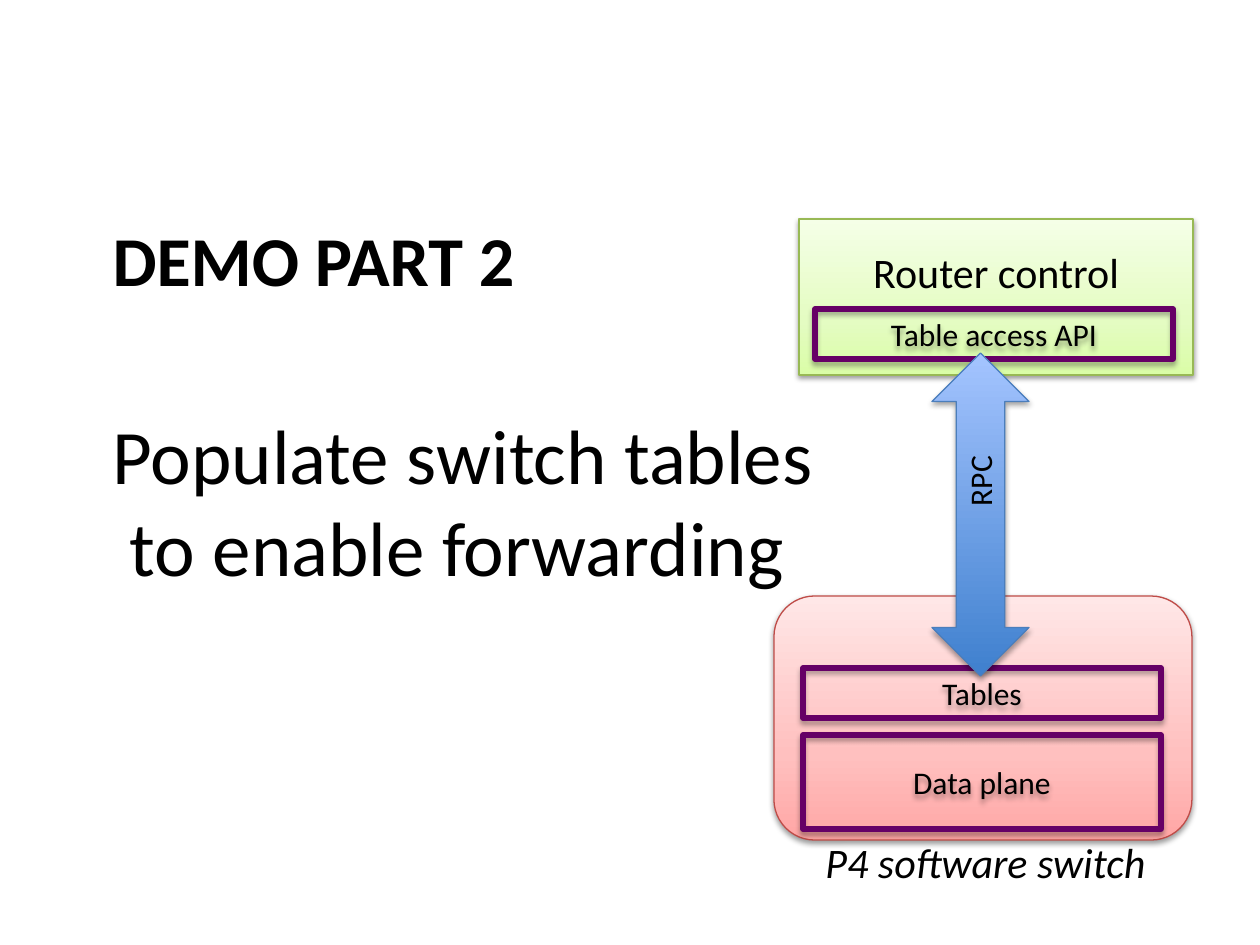
"""Build the slide on populating switch tables over RPC."""
from lxml.etree import SubElement
from pptx import Presentation
from pptx.dml.color import RGBColor
from pptx.enum.shapes import MSO_SHAPE as Shape
from pptx.enum.text import MSO_ANCHOR as Anchor, MSO_AUTO_SIZE as AutoSize, PP_ALIGN as Align
from pptx.oxml.ns import qn
from pptx.util import Emu, Pt

PX_PER_INCH = 126
BLACK = RGBColor(0x00, 0x00, 0x00)
PURPLE = RGBColor(0x66, 0x00, 0x66)
RED_LINE = RGBColor(0xBF, 0x4C, 0x48)
GREEN_LINE = RGBColor(0x98, 0xB9, 0x55)
BLUE_LINE = RGBColor(0x4B, 0x7E, 0xBC)
RED_STOPS = ((0, RGBColor(0xFF, 0xA6, 0xA5)), (35, RGBColor(0xFF, 0xC0, 0xBF)),
             (100, RGBColor(0xFF, 0xE7, 0xE7)))
GREEN_STOPS = ((0, RGBColor(0xDA, 0xFD, 0xA7)), (35, RGBColor(0xE4, 0xFC, 0xC2)),
               (100, RGBColor(0xF5, 0xFF, 0xE7)))
BLUE_STOPS = ((0, RGBColor(0x3F, 0x80, 0xCE)), (100, RGBColor(0xA4, 0xC4, 0xFF)))


def px(length):
    return Emu(round(length * 914400 / PX_PER_INCH))


def place(shape, box):
    shape.left, shape.top, shape.width, shape.height = map(px, box)


def write(shape, text, size=18, bold=False, italic=False, align=Align.CENTER,
          anchor=Anchor.MIDDLE, wrap=True, bottom=6):
    frame = shape.text_frame
    frame.text = text
    frame.word_wrap = wrap
    frame.auto_size = AutoSize.NONE if wrap else AutoSize.SHAPE_TO_FIT_TEXT
    frame.vertical_anchor = anchor
    frame.margin_bottom = px(bottom)
    paragraph = frame.paragraphs[0]
    paragraph.alignment = align
    for run in paragraph.runs:
        font = run.font
        font.name, font.size = "Calibri", Pt(size)
        font.bold, font.italic = bold, italic
        font.color.rgb = BLACK


def add_color(parent, color, alpha=None):
    element = SubElement(parent, qn("a:srgbClr"), val=str(color))
    if alpha is not None:
        SubElement(element, qn("a:alpha"), val=str(alpha * 1000))


def add_shadow(shape, alpha, distance):
    shape.shadow.inherit = False
    effects = shape._element.spPr.find(qn("a:effectLst"))
    shadow = SubElement(effects, qn("a:outerShdw"), blurRad=str(Pt(3.1)),
                        dist=str(Pt(distance)), dir="5400000", rotWithShape="0")
    add_color(shadow, BLACK, alpha)


def fill_gradient(shape, stops):
    shape.fill.gradient()
    shape.fill.gradient_angle = 90
    stop_list = shape._element.spPr.find(qn("a:gradFill")).find(qn("a:gsLst"))
    stop_list.clear()
    for position, color in stops:
        add_color(SubElement(stop_list, qn("a:gs"), pos=str(position * 1000)), color)


def add_gradient_shape(slide, kind, box, stops, line, alpha=38, distance=1.6):
    shape = slide.shapes.add_shape(kind, *map(px, box))
    fill_gradient(shape, stops)
    shape.line.color.rgb = line
    shape.line.width = Pt(0.75)
    add_shadow(shape, alpha, distance)
    return shape


def add_outlined_box(slide, text, box):
    shape = slide.shapes.add_shape(Shape.RECTANGLE, *map(px, box))
    shape.fill.background()
    shape.line.color.rgb = PURPLE
    shape.line.width = Pt(3)
    add_shadow(shape, 35, 1.8)
    write(shape, text)


def add_label(slide, text, box, rotation=0, **text_format):
    label = slide.shapes.add_textbox(*map(px, box))
    label.rotation = rotation
    write(label, text, anchor=Anchor.TOP, **text_format)


def main():
    deck = Presentation()
    deck.slide_width, deck.slide_height = px(1260), px(945)
    slide = deck.slides.add_slide(deck.slide_layouts[5])

    title = slide.shapes.title
    place(title, (100, 210, 1071, 188))
    write(title, "DEMO PART 2", size=40, bold=True, align=Align.LEFT, anchor=Anchor.TOP)
    add_label(slide, "Populate switch tables\v to enable forwarding",
              (100, 401, 1071, 207), size=44, align=Align.LEFT)

    add_gradient_shape(slide, Shape.ROUNDED_RECTANGLE, (774, 596, 418, 244),
                       RED_STOPS, RED_LINE)
    router = add_gradient_shape(slide, Shape.RECTANGLE, (799, 219, 394, 156),
                                GREEN_STOPS, GREEN_LINE)
    write(router, "Router control", size=24, bottom=57)

    add_outlined_box(slide, "Tables", (803, 668, 358, 50))
    add_label(slide, "P4 software switch", (806, 830, 359, 63), size=24,
              italic=True, wrap=False)
    add_outlined_box(slide, "Data plane", (803, 735, 358, 94))
    add_outlined_box(slide, "Table access API", (815, 309, 358, 50))

    add_gradient_shape(slide, Shape.UP_DOWN_ARROW, (932, 353, 97, 323),
                       BLUE_STOPS, BLUE_LINE, alpha=35, distance=1.8)
    add_label(slide, "RPC", (941, 455, 77, 50), rotation=270, align=Align.LEFT, wrap=False)

    deck.save("out.pptx")


if __name__ == "__main__":
    main()
